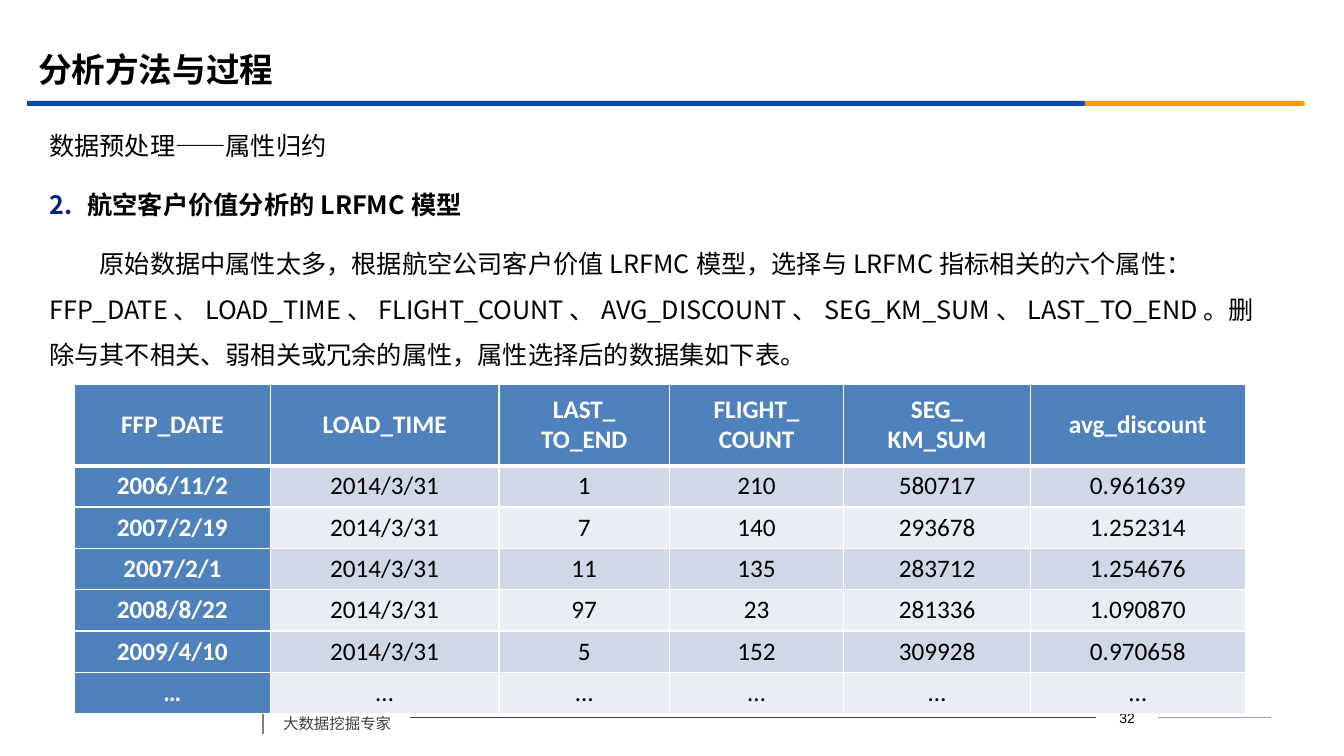
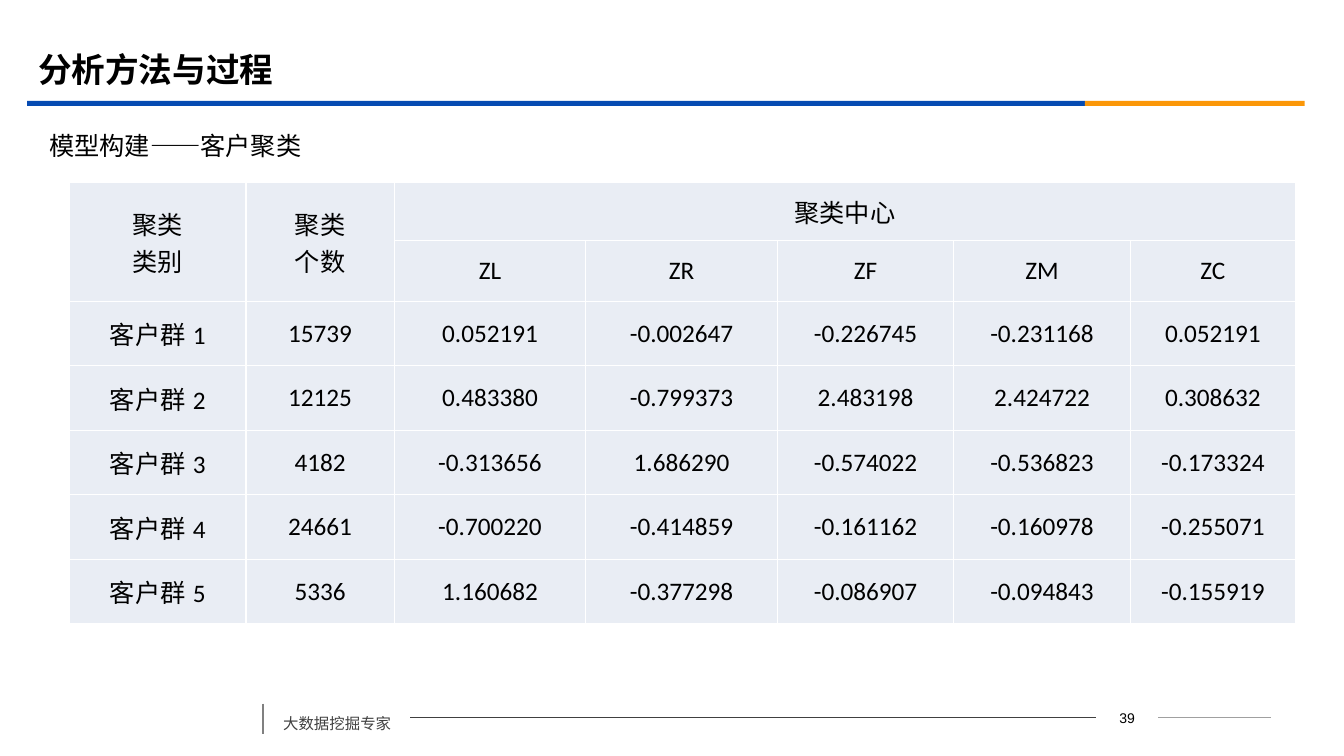
from lxml import etree
from pptx import Presentation
from pptx.dml.color import RGBColor
from pptx.enum.shapes import MSO_CONNECTOR, MSO_SHAPE
from pptx.enum.text import MSO_ANCHOR, PP_ALIGN
from pptx.oxml.ns import qn
from pptx.util import Inches, Pt

LEFT, CENTER = PP_ALIGN.LEFT, PP_ALIGN.CENTER
TOP, MIDDLE = MSO_ANCHOR.TOP, MSO_ANCHOR.MIDDLE
RECTANGLE, STRAIGHT = MSO_SHAPE.RECTANGLE, MSO_CONNECTOR.STRAIGHT

CJK, LATIN, PAGE_FONT = "Noto Sans CJK SC", "Calibri", "Arial"
COLORS = {
    "text": "000000", "white": "FFFFFF", "blue": "064BB2", "orange": "FB9708",
    "number": "032089", "tagline": "404040", "divider": "808080",
    "long_rule": "404040", "short_rule": "A0A0A0",
    "header": "4F81BD", "band": "D0D8E8", "pale": "E9EDF4",
}

ATTRIBUTES = [
    ["FFP_DATE", "LOAD_TIME", "LAST_\nTO_END", "FLIGHT_\nCOUNT", "SEG_\nKM_SUM", "avg_discount"],
    ["2006/11/2", "2014/3/31", "1", "210", "580717", "0.961639"],
    ["2007/2/19", "2014/3/31", "7", "140", "293678", "1.252314"],
    ["2007/2/1", "2014/3/31", "11", "135", "283712", "1.254676"],
    ["2008/8/22", "2014/3/31", "97", "23", "281336", "1.090870"],
    ["2009/4/10", "2014/3/31", "5", "152", "309928", "0.970658"],
    ["…"] * 6,
]
CLUSTERS = [
    ["聚类\n类别", "聚类\n个数", "聚类中心", "", "", "", ""],
    ["", "", "ZL", "ZR", "ZF", "ZM", "ZC"],
    ["客户群1", "15739", "0.052191", "-0.002647", "-0.226745", "-0.231168", "0.052191"],
    ["客户群2", "12125", "0.483380", "-0.799373", "2.483198", "2.424722", "0.308632"],
    ["客户群3", "4182", "-0.313656", "1.686290", "-0.574022", "-0.536823", "-0.173324"],
    ["客户群4", "24661", "-0.700220", "-0.414859", "-0.161162", "-0.160978", "-0.255071"],
    ["客户群5", "5336", "1.160682", "-0.377298", "-0.086907", "-0.094843", "-0.155919"],
]


def rgb(name):
    return RGBColor.from_string(COLORS[name])


def add_number(paragraph, start):
    """Number the paragraph automatically, beginning at start."""
    props = paragraph._p.get_or_add_pPr()
    color = etree.SubElement(props, qn("a:buClr"))
    etree.SubElement(color, qn("a:srgbClr"), val=COLORS["number"])
    etree.SubElement(props, qn("a:buAutoNum"), type="arabicPeriod", startAt=str(start))


def write(frame, text, size=18, color="text", font=CJK, bold=False, align=LEFT,
          line=None, before=0, margin=0, indent=0, number=None):
    """Append one paragraph for each line of text."""
    for part in text.split("\n"):
        first = not frame.text
        paragraph = frame.paragraphs[0] if first else frame.add_paragraph()
        if number:
            add_number(paragraph, number)
        if margin or indent:
            props = paragraph._p.get_or_add_pPr()
            props.set("marL", str(Inches(margin)))
            props.set("indent", str(Inches(indent)))
        paragraph.alignment = align
        if line:
            paragraph.line_spacing = line
        if before and not first:
            paragraph.space_before = Pt(before)
        run = paragraph.add_run()
        run.text = part
        run.font.size, run.font.bold, run.font.name = Pt(size), bold, font
        run.font.color.rgb = rgb(color)
        east_asian = etree.Element(qn("a:ea"), typeface=CJK)
        run.font._element.find(qn("a:latin")).addnext(east_asian)


def border(cell, top=1, bottom=1):
    """Draw white lines on the four sides; widths are in points."""
    props = cell._tc.get_or_add_tcPr()
    sides = (("a:lnL", 1), ("a:lnR", 1), ("a:lnT", top), ("a:lnB", bottom))
    for place, (side, width) in enumerate(sides):
        edge = etree.Element(qn(side), w=str(Pt(width)))
        fill = etree.SubElement(edge, qn("a:solidFill"))
        etree.SubElement(fill, qn("a:srgbClr"), val=COLORS["white"])
        props.insert(place, edge)


class Deck:
    def __init__(self):
        self.show = Presentation()
        self.show.slide_width, self.show.slide_height = Inches(13.33), Inches(7.5)
        self.slide = None

    def page(self, title, number):
        """Start a slide with its title, two-colour band and footer."""
        self.slide = self.show.slides.add_slide(self.show.slide_layouts[6])
        self.bar(0.27, 1, 10.49, 0.05, "blue")
        self.bar(10.76, 1, 2.18, 0.05, "orange")
        self.rule(4.07, 7.12, 10.87, 7.12, "long_rule")
        self.rule(11.49, 7.12, 12.61, 7.12, "short_rule")
        self.rule(2.61, 6.98, 2.61, 7.28, "divider", 1.25)
        write(self.text(2.71, 6.94, 1.36, 0.38), "大数据挖掘专家",
              size=11, color="tagline", line=1.5)
        write(self.text(10.87, 6.99, 0.62, 0.25), str(number),
              size=10, font=PAGE_FONT, align=CENTER)
        write(self.text(0.28, 0.39, 12, 0.58, MIDDLE), title, size=24, bold=True)

    def text(self, left, top, width, height, anchor=TOP):
        box = self.slide.shapes.add_textbox(
            Inches(left), Inches(top), Inches(width), Inches(height))
        frame = box.text_frame
        frame.word_wrap, frame.vertical_anchor = True, anchor
        return frame

    def body(self, topic):
        frame = self.text(0.39, 1.09, 12.35, 5.76)
        write(frame, topic, line=1.5)
        return frame

    def bar(self, left, top, width, height, color):
        shape = self.slide.shapes.add_shape(
            RECTANGLE, Inches(left), Inches(top), Inches(width), Inches(height))
        shape.shadow.inherit = False
        shape.fill.solid()
        shape.fill.fore_color.rgb = rgb(color)
        shape.line.fill.background()

    def rule(self, x1, y1, x2, y2, color, width=0.75):
        line = self.slide.shapes.add_connector(
            STRAIGHT, Inches(x1), Inches(y1), Inches(x2), Inches(y2))
        line.line.color.rgb, line.line.width = rgb(color), Pt(width)
        etree.SubElement(line._element.spPr, qn("a:effectLst"))

    def table(self, left, top, widths, heights, rows, headed=False, merges=()):
        """Fill a grid; headed gives a blue first row and column and banded rows."""
        grid = self.slide.shapes.add_table(
            len(rows), len(widths), Inches(left), Inches(top),
            Inches(sum(widths)), Inches(sum(heights))).table
        grid.first_row = grid.horz_banding = False
        for column, width in zip(grid.columns, widths):
            column.width = Inches(width)
        for row, height in zip(grid.rows, heights):
            row.height = Inches(height)
        for r, values in enumerate(rows):
            for c, value in enumerate(values):
                cell = grid.cell(r, c)
                heading = headed and (r == 0 or c == 0)
                fill = "header" if heading else "band" if headed and r % 2 else "pale"
                cell.fill.solid()
                cell.fill.fore_color.rgb = rgb(fill)
                border(cell, top=3 if headed and r == 1 else 1,
                       bottom=3 if headed and r == 0 else 1)
                cell.vertical_anchor = MIDDLE
                cell.margin_left = cell.margin_right = Inches(0.06)
                cell.margin_top = cell.margin_bottom = 0
                if value:
                    write(cell.text_frame, value, font=LATIN, bold=heading, align=CENTER,
                          color="white" if heading else "text")
        for first, last in merges:
            grid.cell(*first).merge(grid.cell(*last))


def main():
    deck = Deck()
    title = "分析方法与过程"

    deck.page(title, 32)
    body = deck.body("数据预处理——属性归约")
    write(body, "航空客户价值分析的LRFMC模型", bold=True, line=1.5, before=10,
          margin=0.38, indent=-0.38, number=2)
    write(body, "原始数据中属性太多，根据航空公司客户价值LRFMC模型，选择与LRFMC指标相关的六个属性："
          "FFP_DATE、LOAD_TIME、FLIGHT_COUNT、AVG_DISCOUNT、SEG_KM_SUM、LAST_TO_END。"
          "删除与其不相关、弱相关或冗余的属性，属性选择后的数据集如下表。",
          line=1.5, before=10, indent=0.5)
    deck.table(0.74, 3.81, [1.94, 2.27, 1.69, 1.73, 1.85, 2.13], [0.81] + [0.41] * 6,
               ATTRIBUTES, headed=True)

    deck.page(title, 39)
    deck.body("模型构建——客户聚类")
    deck.table(0.69, 1.81, [1.75, 1.47, 1.9, 1.9, 1.75, 1.75, 1.64],
               [0.58, 0.59] + [0.64] * 5, CLUSTERS,
               merges=[((0, 0), (1, 0)), ((0, 1), (1, 1)), ((0, 2), (0, 6))])

    deck.show.save("out.pptx")


if __name__ == "__main__":
    main()
